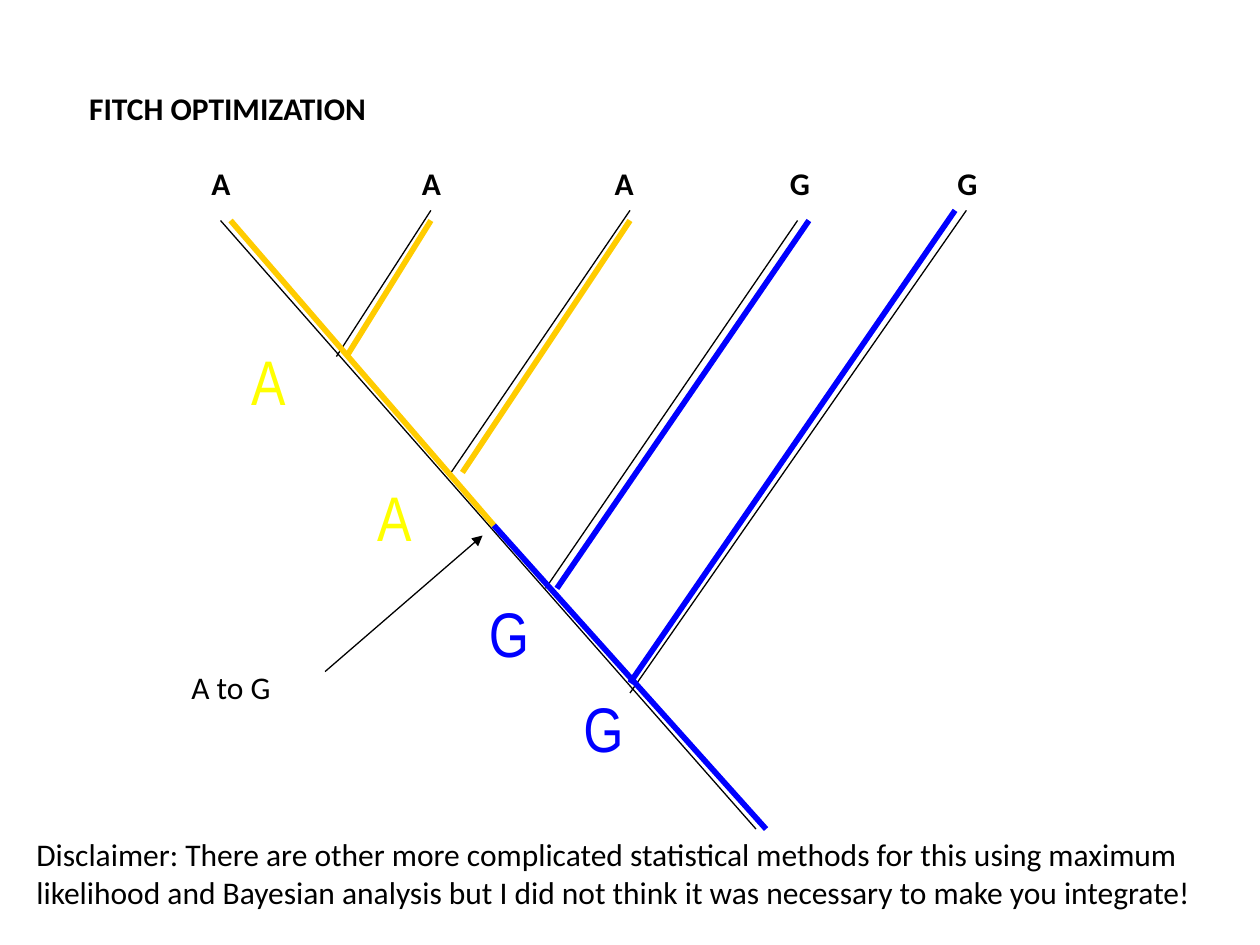
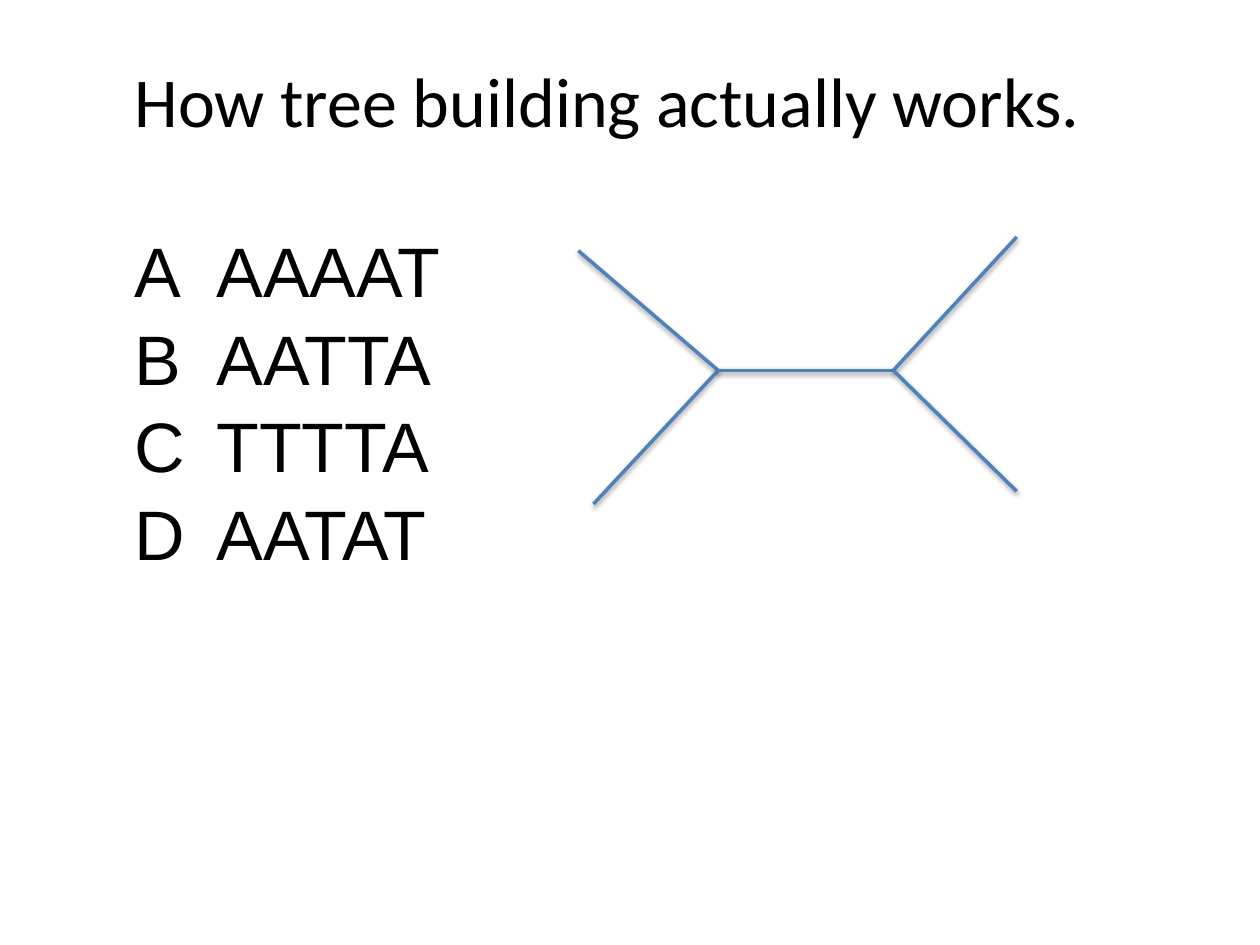
"""Build two slides on parsimony: Fitch optimization and tree building."""
from lxml.etree import SubElement
from pptx import Presentation
from pptx.dml.color import RGBColor
from pptx.enum.shapes import MSO_CONNECTOR as Connector
from pptx.enum.text import MSO_AUTO_SIZE as AutoSize, PP_ALIGN as Align
from pptx.oxml.ns import qn
from pptx.util import Inches, Pt

COLORS = {"ink": "000000", "adenine": "FFCC00", "adenine_label": "FFFF00",
          "guanine": "0000FF", "branch": "4F81BD"}


def add_text(slide, box, lines, size=18, font="Calibri", color="ink", bold=False,
             wrap=False, grow=True, align=Align.LEFT):
    frame = slide.shapes.add_textbox(*map(Inches, box)).text_frame
    frame.text = "\n".join(lines)
    frame.word_wrap = wrap
    frame.auto_size = AutoSize.SHAPE_TO_FIT_TEXT if grow else AutoSize.NONE
    for paragraph in frame.paragraphs:
        paragraph.alignment = align
        paragraph.font.size = Pt(size)
        paragraph.font.name = font
        paragraph.font.bold = bold
        paragraph.font.color.rgb = RGBColor.from_string(COLORS[color])
    return frame


def add_line(slide, start, end, color="ink", width=0.75, shadow=False):
    line = slide.shapes.add_connector(Connector.STRAIGHT, *map(Inches, start + end))
    line.line.color.rgb = RGBColor.from_string(COLORS[color])
    line.line.width = Pt(width)
    if not shadow:
        SubElement(line._element.spPr, qn("a:effectLst"))
    return line


deck = Presentation()
deck.slide_width, deck.slide_height = Inches(10), Inches(7.5)
blank = deck.slide_layouts[6]

fitch = deck.slides.add_slide(blank)
tree_edges = [
    ((3.58, 5.75), (3.58, 5.75)),
    ((1.75, 1.75), (6, 6.58)),
    ((3.42, 1.67), (2.67, 2.83)),
    ((3.58, 3.75), (5, 1.67)),
    ((4.33, 4.67), (6.33, 1.75)),
    ((5, 5.5), (7.67, 1.67)),
]
for start, end in tree_edges:
    add_line(fitch, start, end)

for base, left in [("A", 1.58), ("A", 3.25), ("A", 4.78), ("G", 6.17), ("G", 7.5)]:
    add_text(fitch, (left, 1.25, 0.44 if base == "A" else 0.36, 0.4), [base], bold=True)
add_text(fitch, (0.61, 0.66, 4.64, 0.5), ["FITCH OPTIMIZATION"], bold=True, wrap=True)

node_states = [
    ("A", 1.92, 2.67, "adenine_label"),
    ("A", 2.92, 3.75, "adenine_label"),
    ("G", 3.83, 4.67, "guanine"),
    ("G", 4.58, 5.42, "guanine"),
]
for base, left, top, color in node_states:
    add_text(fitch, (left, top, 0.42, 0.61), [base], 36, "Arial Narrow", color,
             grow=False, align=Align.CENTER)

change_arrow = add_line(fitch, (2.58, 5.33), (3.83, 4.25))
SubElement(change_arrow.line._get_or_add_ln(), qn("a:tailEnd"), type="triangle")
add_text(fitch, (1.42, 5.25, 0.84, 0.4), ["A to G"])

state_edges = [
    ("adenine", (1.83, 1.75), (3.92, 4.17)),
    ("adenine", (5, 1.75), (3.67, 3.75)),
    ("adenine", (3.42, 1.75), (2.75, 2.83)),
    ("guanine", (6.42, 1.75), (4.42, 4.67)),
    ("guanine", (7.58, 1.67), (5, 5.42)),
    ("guanine", (3.92, 4.17), (6.08, 6.58)),
]
for color, start, end in state_edges:
    add_line(fitch, start, end, color, 3.25)

add_text(fitch, (0.19, 6.58, 9.61, 0.71), [
    "Disclaimer: There are other more complicated statistical methods for this using "
    "maximum likelihood and Bayesian analysis but I did not think it was necessary "
    "to make you integrate!"], wrap=True)

building = deck.slides.add_slide(blank)
sequences = {"A": "AAAAT", "B": "AATTA", "C": "TTTTA", "D": "AATAT"}
rows = [f"{taxon}\t{bases}" for taxon, bases in sequences.items()]
alignment = add_text(building, (0.97, 0.41, 7.78, 4.14),
                     ["How tree building actually works."] + rows, 40)
for number, row in enumerate(alignment.paragraphs[1:]):
    row.font.name = "Arial"
    row.space_before = Pt(2 if number else 49)
    tabs = SubElement(row._p.get_or_add_pPr(), qn("a:tabLst"))
    row._p.pPr.find(qn("a:defRPr")).addprevious(tabs)
    SubElement(tabs, qn("a:tab"), pos=str(Inches(0.65)), algn="l")

left_node, right_node = (5.7, 2.94), (7.09, 2.94)
unrooted_edges = [
    ((4.59, 1.99), left_node),
    (left_node, (4.71, 4)),
    (right_node, left_node),
    ((8.07, 1.88), right_node),
    (right_node, (8.07, 3.9)),
]
for start, end in unrooted_edges:
    add_line(building, start, end, "branch", 2, shadow=True)

deck.save("out.pptx")
